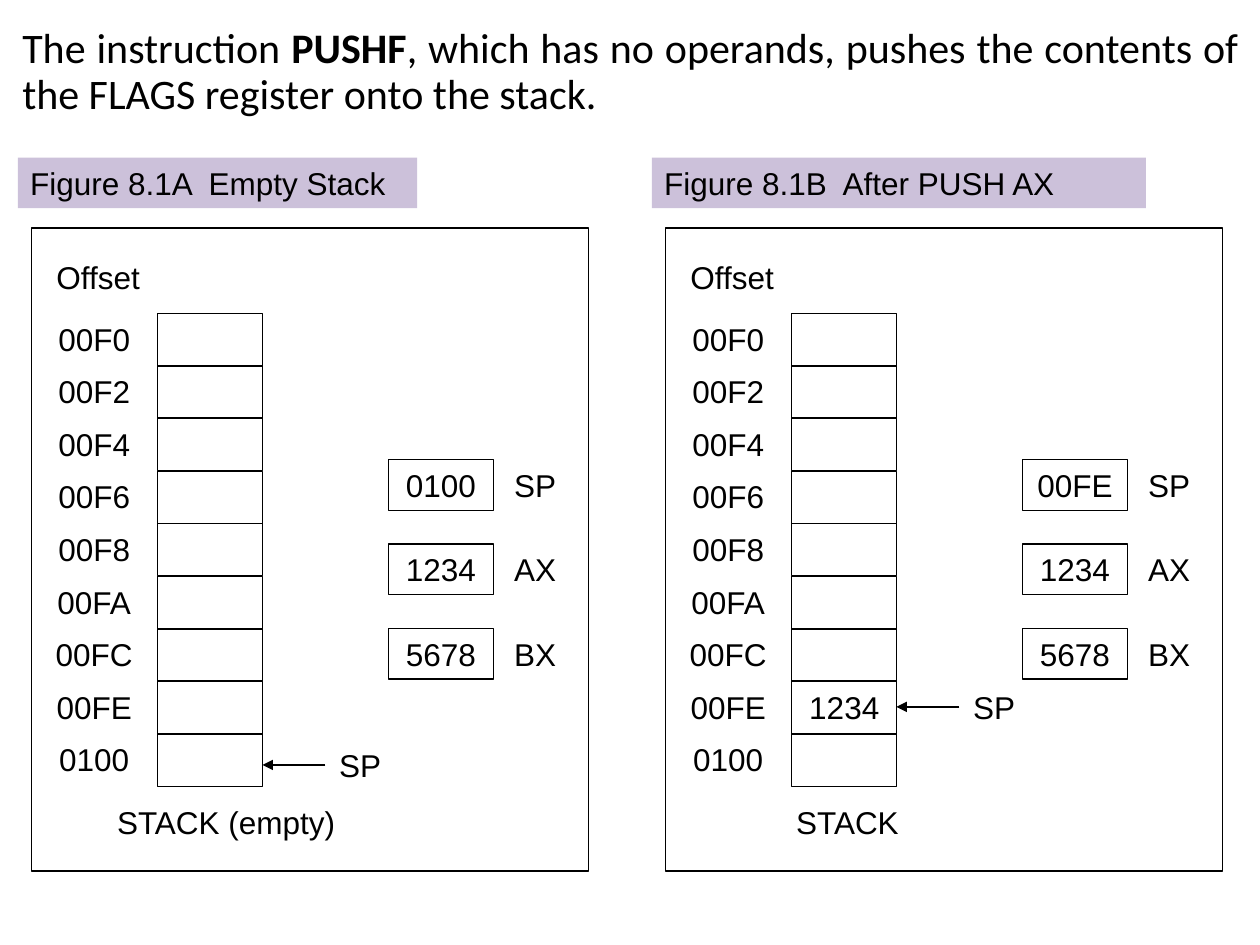
from lxml.etree import SubElement
from pptx import Presentation
from pptx.dml.color import RGBColor
from pptx.enum.shapes import MSO_CONNECTOR, MSO_SHAPE
from pptx.enum.text import MSO_ANCHOR, PP_ALIGN
from pptx.oxml.ns import qn
from pptx.util import Cm, Pt

BLACK = RGBColor(0x00, 0x00, 0x00)
LILAC = RGBColor(0xCC, 0xC1, 0xDA)

WIDE, HIGH = 2.12, 1.02  # register box and label
TOP, STEP = 6.32, 1.06  # first stack row and row pitch

deck = Presentation()
deck.slide_width, deck.slide_height = Cm(25.4), Cm(19.05)
slide = deck.slides.add_slide(deck.slide_layouts[6])


def label(left, top, wide, text):
    box = slide.shapes.add_textbox(Cm(left), Cm(top), Cm(wide), Cm(HIGH))
    box.text_frame.word_wrap = True
    write(box, text)


def write(shape, text, align=PP_ALIGN.CENTER):
    frame = shape.text_frame
    frame.vertical_anchor = MSO_ANCHOR.TOP
    line = frame.paragraphs[0]
    line.text = text
    line.alignment = align
    line.font.name, line.font.size = "Arial", Pt(18)
    line.font.color.rgb = BLACK


# Heading
head = slide.shapes.add_textbox(Cm(0.2), Cm(0.43), Cm(24.77), Cm(2.11))
head.text_frame.word_wrap = True
head.text_frame.margin_right = 0
lead = head.text_frame.paragraphs[0]
lead.alignment, lead.line_spacing = PP_ALIGN.JUSTIFY, 0.9
for text, bold in (
    ("The instruction ", False),
    ("PUSHF", True),
    (", which has no operands, pushes the contents of "
     "the FLAGS register onto the stack.", False),
):
    run = lead.add_run()
    run.text = text
    run.font.bold = bold
lead.font.name, lead.font.size = "Calibri", Pt(24)
lead.font.color.rgb = BLACK

# Panels: left edge, title, title width, SP value, SP row, arrow drop,
# stored values by row, caption, caption left and width
OFFSETS = ["00F0", "00F2", "00F4", "00F6", "00F8", "00FA", "00FC", "00FE", "0100"]
PANELS = [
    (0, "Figure 8.1A  Empty Stack", 8.05, "0100", 8, 0.62,
     {}, "STACK (empty)", 1.7, 5.72),
    (12.78, "Figure 8.1B  After PUSH AX", 9.96, "00FE", 7, 0.51,
     {7: "1234"}, "STACK", 2.54, 3.53),
]

for left, title, span, point, row, drop, stored, note, start, width in PANELS:
    # Rectangles: left, top, width, height, text
    rects = [(0.64, 4.6, 11.22, 12.96, "")]
    rects += [(3.18, TOP + i * STEP, WIDE, 1.05, stored.get(i, ""))
              for i in range(len(OFFSETS))]
    for i, (name, value) in enumerate((("SP", point), ("AX", "1234"), ("BX", "5678"))):
        top = 9.27 + i * 1.7
        rects.append((7.83, top, WIDE, HIGH, value))
        label(left + 9.73, top, WIDE, name)

    for x, y, wide, high, text in rects:
        rect = slide.shapes.add_shape(
            MSO_SHAPE.RECTANGLE, Cm(left + x), Cm(y), Cm(wide), Cm(high))
        rect.shadow.inherit = False
        rect.fill.background()
        rect.line.color.rgb, rect.line.width = BLACK, Pt(0.75)
        if text:
            write(rect, text)

    banner = slide.shapes.add_shape(
        MSO_SHAPE.RECTANGLE, Cm(left + 0.36), Cm(3.18), Cm(span), Cm(HIGH))
    banner.shadow.inherit = False
    banner.fill.solid()
    banner.fill.fore_color.rgb = LILAC
    banner.line.fill.background()
    write(banner, title, PP_ALIGN.LEFT)

    label(left + 0.81, 5.08, 2.34, "Offset")
    for i, offset in enumerate(OFFSETS):
        label(left + 0.84, TOP + i * STEP, WIDE, offset)
    label(left + start, 16.06, width, note)

    # Stack pointer arrow
    level = TOP + row * STEP + drop
    arrow = slide.shapes.add_connector(
        MSO_CONNECTOR.STRAIGHT,
        Cm(left + 6.56), Cm(level), Cm(left + 5.29), Cm(level))
    arrow.line.color.rgb, arrow.line.width = BLACK, Pt(0.75)
    SubElement(arrow.line._get_or_add_ln(), qn("a:tailEnd"), type="triangle")
    SubElement(arrow._element.spPr, qn("a:effectLst"))
    label(left + 6.2, level - 0.5, WIDE, "SP")

deck.save("out.pptx")
